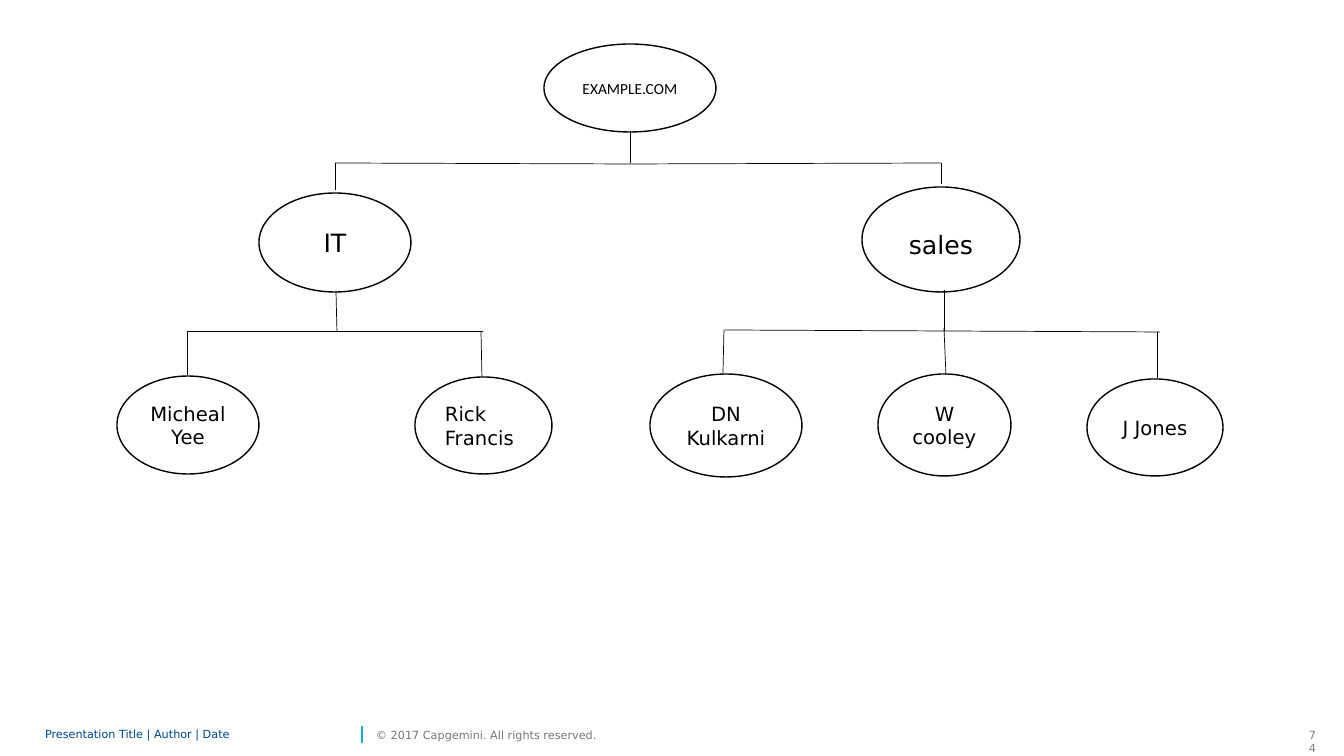
from lxml import etree
from pptx import Presentation
from pptx.dml.color import RGBColor
from pptx.enum.shapes import MSO_CONNECTOR as CONN, MSO_SHAPE as SHAPE
from pptx.enum.text import MSO_ANCHOR as ANCHOR, PP_ALIGN as ALIGN
from pptx.oxml.ns import qn
from pptx.util import Emu, Pt

EMU_PER_PX = 914400 / 100.8
FONT = "DejaVu Sans"
COLORS = {
    "white": "FFFFFF",
    "black": "000000",
    "near_black": "0D0D0D",
    "title": "00458D",
    "divider": "12ABDB",
    "copyright": "767676",
    "number": "808080",
}

# text, left, top, width, height, size
NODES = [
    ("IT", 259, 193, 152, 99, 18),
    ("Micheal Yee", 117, 376, 142, 98, 14),
    ("DN Kulkarni", 650, 374, 152, 103, 14),
    ("W cooley", 878, 374, 133, 102, 14),
    ("J Jones", 1087, 379, 136, 97, 14),
]

# x1, y1, x2, y2
BRANCHES = [
    (630, 131, 630, 163),
    (335, 163, 630, 164),
    (630, 164, 941, 163),
    (335, 163, 335, 190),
    (941, 163, 941, 184),
    (336, 291, 337, 331),
    (187, 331, 483, 331),
    (482, 377, 481, 331),
    (944, 290, 944, 331),
    (725, 330, 1160, 332),
    (724, 330, 723, 373),
    (944, 328, 946, 375),
    (1157, 332, 1157, 378),
]


def px(n):
    return Emu(round(n * EMU_PER_PX))


def rgb(name):
    return RGBColor.from_string(COLORS[name])


def set_text(tf, text, size, color, font=FONT, align=ALIGN.LEFT):
    tf.text = text
    p = tf.paragraphs[0]
    p.alignment = align
    f = p.runs[0].font
    f.name, f.size = font, Pt(size)
    f.color.rgb = rgb(color)
    return p


def add_node(slide, text, left, top, width, height, size, font=FONT,
             align=ALIGN.CENTER):
    sp = slide.shapes.add_shape(SHAPE.OVAL, px(left), px(top), px(width), px(height))
    sp.shadow.inherit = False
    sp.fill.solid()
    sp.fill.fore_color.rgb = rgb("white")
    sp.line.color.rgb = rgb("black")
    sp.line.width = Pt(1)
    tf = sp.text_frame
    tf.word_wrap = True
    tf.vertical_anchor = ANCHOR.MIDDLE
    set_text(tf, text, size, "black", font, align)
    return sp


def add_line(slide, x1, y1, x2, y2, color="black", width=0.5):
    line = slide.shapes.add_connector(CONN.STRAIGHT, px(x1), px(y1), px(x2), px(y2))
    line.line.color.rgb = rgb(color)
    line.line.width = Pt(width)
    etree.SubElement(line._element.spPr, qn("a:effectLst"))


def add_label(slide, text, left, width, color):
    """Add a footer text without insets, centred on the footer line."""
    tf = slide.shapes.add_textbox(px(left), px(723), px(width), px(24)).text_frame
    tf.word_wrap = True
    tf.vertical_anchor = ANCHOR.MIDDLE
    tf.margin_left = tf.margin_right = tf.margin_top = tf.margin_bottom = 0
    return set_text(tf, text, 8, color)


def add_footer(slide):
    number = slide.shapes.add_textbox(px(1299), px(723), px(27), px(24))
    number.text_frame.word_wrap = True
    set_text(number.text_frame, "74", 8, "number", align=ALIGN.RIGHT)
    add_line(slide, 362, 743, 362, 726, "divider", 1)
    title = add_label(slide, "Presentation Title | Author | Date", 45, 311, "title")
    title.line_spacing = 0.85
    add_label(slide, "© 2017 Capgemini. All rights reserved.", 376, 245, "copyright")


def main():
    prs = Presentation()
    prs.slide_width, prs.slide_height = px(1344), px(756)
    slide = prs.slides.add_slide(prs.slide_layouts[6])
    add_footer(slide)

    add_node(slide, "EXAMPLE.COM", 544, 44, 172, 88, 11, font="Calibri")
    sales = add_node(slide, "sales", 862, 187, 158, 105, 18)
    sales.text_frame.margin_top = px(15)
    for node in NODES:
        add_node(slide, *node)
    add_node(slide, "Rick Francis", 415, 377, 137, 97, 14, align=ALIGN.LEFT)

    for branch in BRANCHES:
        add_line(slide, *branch)
    add_line(slide, 187, 331, 187, 375, "near_black")
    prs.save("out.pptx")


if __name__ == "__main__":
    main()
